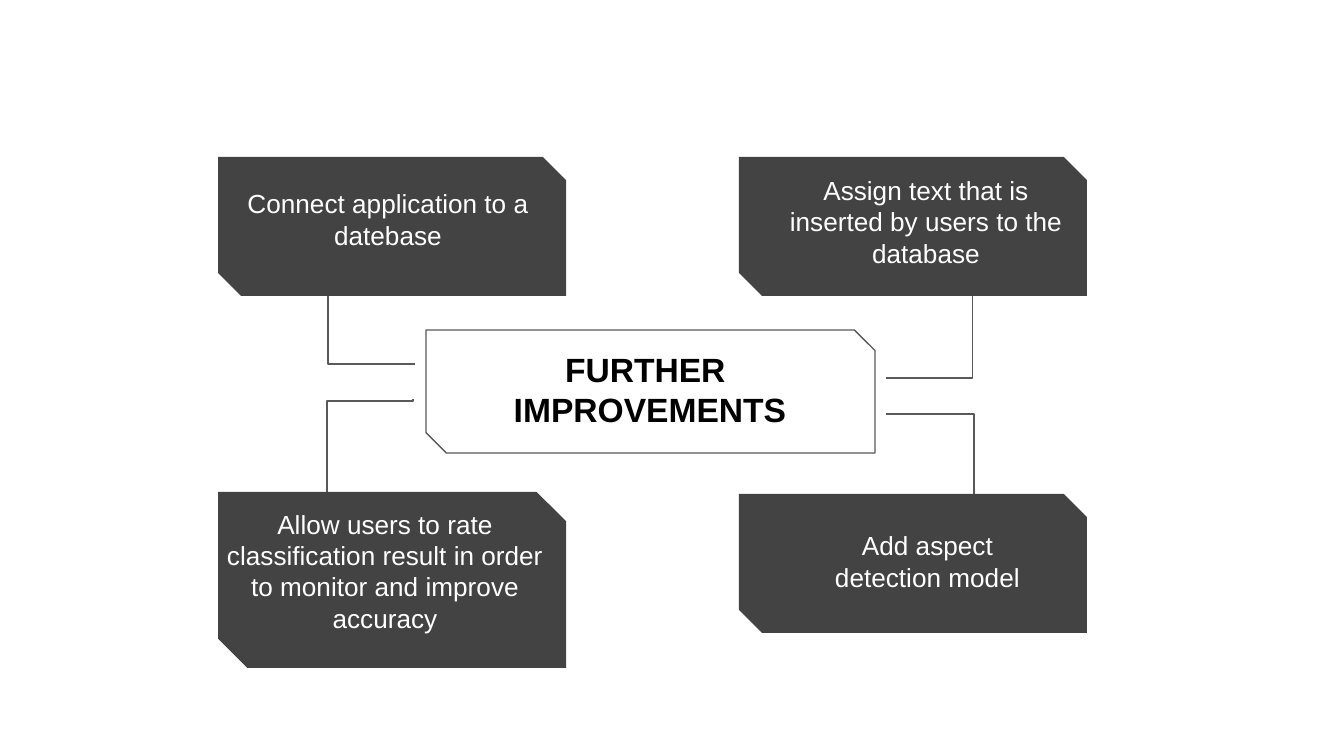
from dataclasses import dataclass

from lxml import etree
from pptx import Presentation
from pptx.dml.color import RGBColor
from pptx.enum.shapes import MSO_CONNECTOR, MSO_SHAPE
from pptx.enum.text import MSO_ANCHOR, PP_ALIGN
from pptx.oxml.ns import qn
from pptx.slide import Slide
from pptx.util import Emu, Pt

EMU_PER_PX = 914400 / 134.4
WHITE = RGBColor(0xFF, 0xFF, 0xFF)
BLACK = RGBColor(0x00, 0x00, 0x00)
CHARCOAL = RGBColor(0x43, 0x43, 0x43)
GREY = RGBColor(0x59, 0x59, 0x59)

CARD_WIDTH, CARD_HEIGHT = 348, 139
LEFT_COLUMN, RIGHT_COLUMN = 218, 739
TOP_ROW = 157


@dataclass(frozen=True)
class Area:
    left: int
    top: int
    width: int
    height: int


@dataclass(frozen=True)
class Improvement:
    text: str
    card: Area
    caption: Area


@dataclass(frozen=True)
class Link:
    start: tuple[int, int]
    end: tuple[int, int]
    bend: int = 50000
    turned: bool = False


IMPROVEMENTS = [
    Improvement("Connect application to a datebase",
                Area(LEFT_COLUMN, TOP_ROW, CARD_WIDTH, CARD_HEIGHT),
                Area(234, 206, 308, 58)),
    Improvement("Assign text that is inserted by users to the database",
                Area(RIGHT_COLUMN, TOP_ROW, CARD_WIDTH, CARD_HEIGHT),
                Area(775, 224, 302, 58)),
    Improvement("Allow users to rate classification result in order "
                "to monitor and improve accuracy",
                Area(LEFT_COLUMN, 492, CARD_WIDTH, 176),
                Area(211, 599, 348, 48)),
    Improvement("Add aspect detection model",
                Area(RIGHT_COLUMN, 494, CARD_WIDTH, CARD_HEIGHT),
                Area(805, 539, 245, 67)),
]
LINKS = [
    Link((241, 276), (415, 364)),
    Link((1059, 290), (886, 378)),
    Link((413, 399), (327, 496), bend=2200, turned=True),
    Link((886, 414), (970, 496), bend=104700),
]
HUB = Area(426, 330, 449, 123)
HUB_CAPTION = Area(496, 391, 308, 52)


def px(length: float) -> Emu:
    return Emu(round(length * EMU_PER_PX))


def place(area: Area) -> tuple[Emu, Emu, Emu, Emu]:
    return px(area.left), px(area.top), px(area.width), px(area.height)


def add_card(slide: Slide, area: Area, fill: RGBColor | None = None,
             line: RGBColor | None = None) -> None:
    card = slide.shapes.add_shape(MSO_SHAPE.SNIP_2_DIAG_RECTANGLE, *place(area))
    card.shadow.inherit = False
    if fill is None:
        card.fill.background()
    else:
        card.fill.solid()
        card.fill.fore_color.rgb = fill
    if line is None:
        card.line.fill.background()
    else:
        card.line.color.rgb = line
        card.line.width = Pt(0.75)


def add_text(slide: Slide, text: str, area: Area, *, size: int = 14,
             color: RGBColor = WHITE, bold: bool = False) -> None:
    frame = slide.shapes.add_textbox(*place(area)).text_frame
    frame.word_wrap = True
    frame.vertical_anchor = MSO_ANCHOR.BOTTOM
    frame.margin_left = frame.margin_right = Emu(91440)
    frame.margin_top = frame.margin_bottom = Emu(91440)
    paragraph = frame.paragraphs[0]
    paragraph.text = text
    paragraph.alignment = PP_ALIGN.CENTER
    for run in paragraph.runs:
        run.font.name = "Arial"
        run.font.size = Pt(size)
        run.font.bold = bold
        run.font.color.rgb = color


def add_link(slide: Slide, link: Link) -> None:
    """Draw an elbow; a turned one leaves its start vertically, to the lower left."""
    (x1, y1), (x2, y2) = link.start, link.end
    if link.turned:
        middle_x, middle_y = (x1 + x2) / 2, (y1 + y2) / 2
        half_width, half_height = (y2 - y1) / 2, (x1 - x2) / 2
        x1, x2 = middle_x - half_width, middle_x + half_width
        y1, y2 = middle_y - half_height, middle_y + half_height
    elbow = slide.shapes.add_connector(MSO_CONNECTOR.ELBOW,
                                       px(x1), px(y1), px(x2), px(y2))
    elbow.line.color.rgb = GREY
    elbow.line.width = Pt(0.75)
    properties = elbow._element.spPr
    etree.SubElement(properties, qn("a:effectLst"))
    if link.turned:
        properties.find(qn("a:xfrm")).set("rot", str(90 * 60000))
    guides = properties.find(qn("a:prstGeom")).find(qn("a:avLst"))
    etree.SubElement(guides, qn("a:gd"), name="adj1", fmla=f"val {link.bend}")


def main() -> None:
    deck = Presentation()
    deck.slide_width, deck.slide_height = px(1344), px(756)
    slide = deck.slides.add_slide(deck.slide_layouts[6])
    for link in LINKS:
        add_link(slide, link)
    add_card(slide, HUB, line=GREY)
    add_text(slide, "FURTHER \vIMPROVEMENTS", HUB_CAPTION,
             size=18, color=BLACK, bold=True)
    for improvement in IMPROVEMENTS:
        add_card(slide, improvement.card, fill=CHARCOAL)
        add_text(slide, improvement.text, improvement.caption)
    deck.save("out.pptx")


if __name__ == "__main__":
    main()
